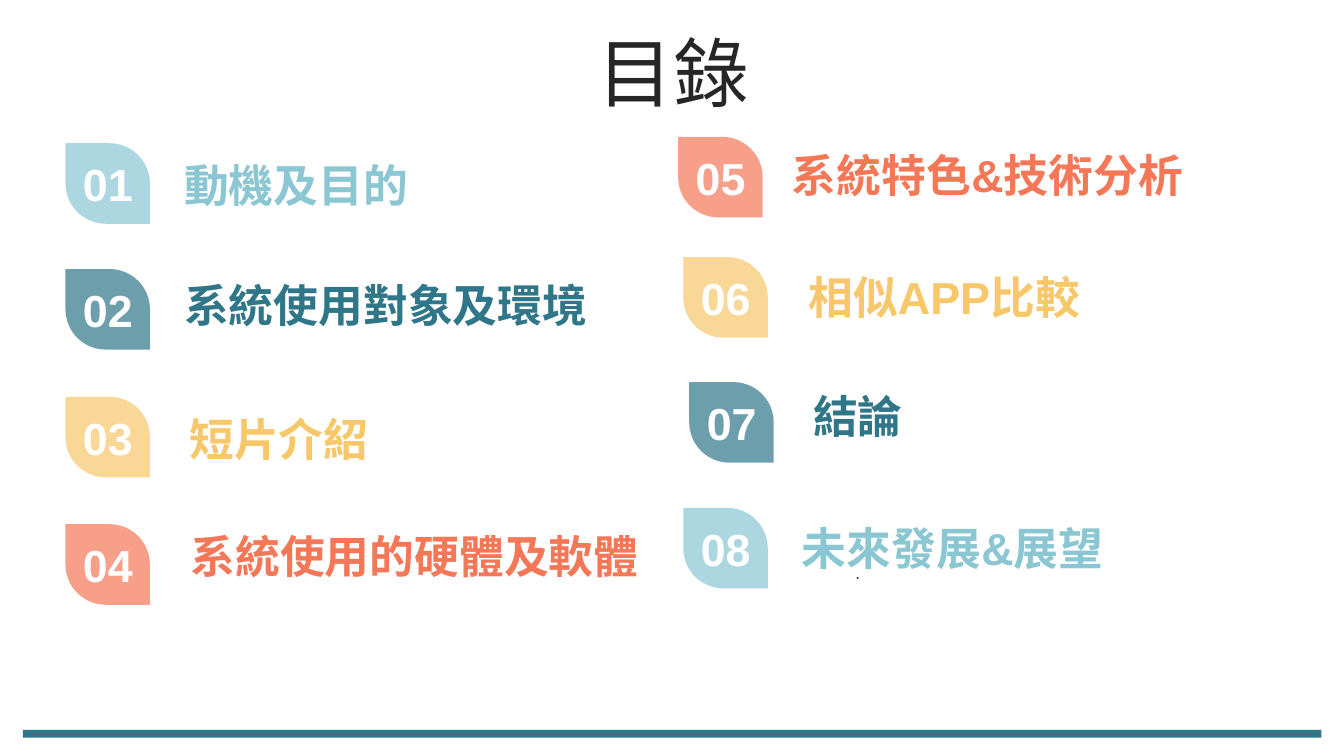
from lxml import etree
from pptx import Presentation
from pptx.dml.color import RGBColor
from pptx.enum import shapes, text
from pptx.oxml.ns import qn
from pptx.util import Cm, Pt

SKY = RGBColor(0x8A, 0xC7, 0xD3)
TEAL = RGBColor(0x30, 0x76, 0x89)
YELLOW = RGBColor(0xF7, 0xC7, 0x6A)
CORAL = RGBColor(0xF4, 0x77, 0x58)
INK = RGBColor(0x26, 0x26, 0x26)
WHITE = RGBColor(0xFF, 0xFF, 0xFF)

BADGE_W, BADGE_H = 2.13, 2.03
LINE_H = 1.63

# Badge left and top, label offset from the badge, wording, colour
ENTRIES = [
    (1.65, 3.61, 2.69, 0.23, "動機及目的", SKY),
    (1.65, 6.78, 2.69, 0.10, "系統使用對象及環境", TEAL),
    (1.65, 10.0, 2.82, 0.24, "短片介紹", YELLOW),
    (1.65, 13.21, 2.85, 0, "系統使用的硬體及軟體", CORAL),
    (17.09, 3.45, 2.57, 0.16, "系統特色&技術分析", CORAL),
    (17.22, 6.48, 2.85, 0.20, "相似APP比較", YELLOW),
    (17.37, 9.63, 2.82, 0.05, "結論", TEAL),
    (17.22, 12.8, 2.69, 0.20, "未來發展&展望", SKY),
]


def add_text(parent, wording, x, y, w, h, size=32, color=INK, bold=False,
             align=None, anchor=text.MSO_ANCHOR.TOP, inset=0.3):
    sp = parent.add_textbox(Cm(x), Cm(y), Cm(w), Cm(h))
    tf = sp.text_frame
    tf.word_wrap = True
    tf.vertical_anchor = anchor
    tf.margin_left = tf.margin_right = Cm(inset)
    p = tf.paragraphs[0]
    p.alignment = align
    r = p.add_run()
    r.text = wording
    r.font.name = "Arial"
    r.font.size = Pt(size)
    r.font.bold = bold
    r.font.color.rgb = color
    etree.SubElement(r._r.rPr, qn("a:ea"), typeface="Arial")
    return sp


def add_block(parent, kind, x, y, w, h, color):
    sp = parent.add_shape(kind, Cm(x), Cm(y), Cm(w), Cm(h))
    sp.shadow.inherit = False
    sp.fill.solid()
    sp.fill.fore_color.rgb = color
    sp.line.fill.background()
    return sp


def add_title(slide, x, y, w, h):
    sp = add_text(slide.shapes, "目錄", x, y, w, h, size=54,
                  align=text.PP_ALIGN.CENTER, anchor=text.MSO_ANCHOR.MIDDLE)
    sp.text_frame.paragraphs[0].line_spacing = 0.9


def add_entry(slide, number, x, y, dx, dy, wording, color):
    group = slide.shapes.add_group_shape().shapes

    # Translucent leaf badge
    leaf = add_block(group, shapes.MSO_SHAPE.ROUND_2_DIAG_RECTANGLE,
                     x, y, BADGE_W, BADGE_H, color)
    leaf.adjustments[0], leaf.adjustments[1] = 0, 0.5
    clr = leaf._element.spPr.find(qn("a:solidFill"))[0]
    etree.SubElement(clr, qn("a:alpha"), val="70000")

    # Number and label
    add_text(group, f"{number:02d}", x + 0.13, y + 0.22, 1.88, LINE_H,
             color=WHITE, bold=True, align=text.PP_ALIGN.CENTER)
    add_text(group, wording, x + dx, y + dy, 11.94, LINE_H,
             color=color, bold=True)
    return group


def main():
    prs = Presentation()
    prs.slide_width, prs.slide_height = Cm(33.87), Cm(19.05)
    slide = prs.slides.add_slide(prs.slide_layouts[6])

    # Footer bar
    add_block(slide.shapes, shapes.MSO_SHAPE.RECTANGLE,
              0.58, 18.39, 32.72, 0.2, TEAL)
    add_title(slide, 0.89, 0.94, 32.16, 2.01)

    # Contents entries
    for number, entry in enumerate(ENTRIES, 1):
        group = add_entry(slide, number, *entry)

    # Small dot under the last label
    add_text(group, ".", 21.31, 14.05, 10.69, 0.76, size=12, inset=0.25)

    prs.save("out.pptx")


if __name__ == "__main__":
    main()
